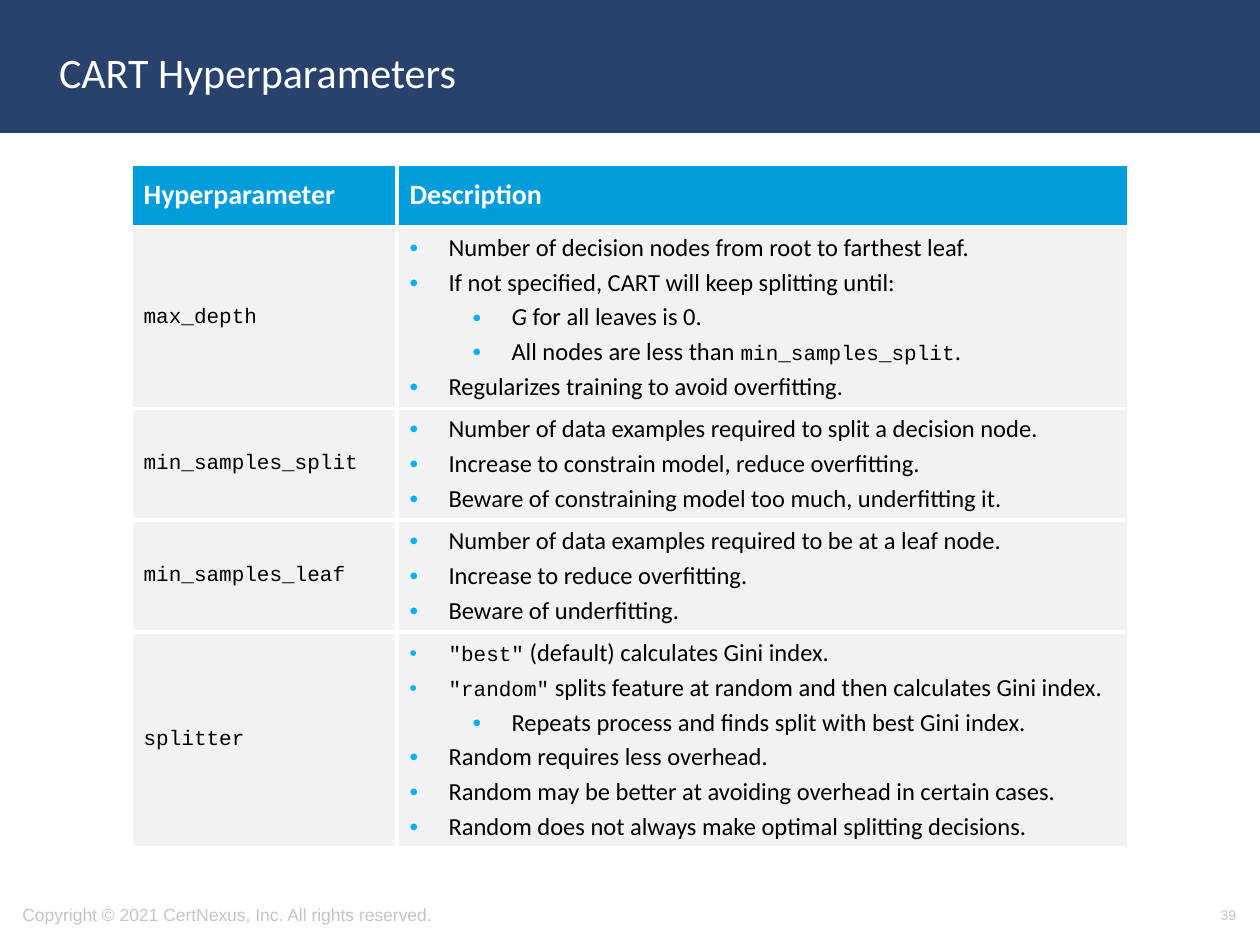
from dataclasses import dataclass

from lxml import etree
from pptx import Presentation
from pptx.dml import color
from pptx.enum import shapes, text
from pptx.oxml import ns
from pptx.util import Inches, Pt

NAVY, BLUE, CYAN = "28426C", "009DDC", "00B0F0"
WHITE, BLACK, PALE, GREY = "FFFFFF", "000000", "F2F2F2", "C4C4C4"
LINE_PITCH, ROW_PADDING = 0.276, 0.06


@dataclass(frozen=True)
class Span:
    text: str
    size: float = 14
    font: str = "Calibri"
    color: str = BLACK
    bold: bool = False
    italic: bool = False


@dataclass(frozen=True)
class Bullet:
    spans: tuple[Span, ...]
    level: int = 0


@dataclass(frozen=True)
class Hyperparameter:
    name: str
    bullets: tuple[Bullet, ...]


def code(words: str) -> Span:
    return Span(words, 12, "Courier New")


def bullet(*parts: str | Span, level: int = 0) -> Bullet:
    spans = tuple(Span(part) if isinstance(part, str) else part for part in parts)
    return Bullet(spans, level)


HYPERPARAMETERS = (
    Hyperparameter("max_depth", (
        bullet("Number of decision nodes from root to farthest leaf."),
        bullet("If not specified, CART will keep splitting until:"),
        bullet(Span("G", italic=True), " for all leaves is 0.", level=1),
        bullet("All nodes are less than ", code("min_samples_split"), ".", level=1),
        bullet("Regularizes training to avoid overfitting."),
    )),
    Hyperparameter("min_samples_split", (
        bullet("Number of data examples required to split a decision node."),
        bullet("Increase to constrain model, reduce overfitting."),
        bullet("Beware of constraining model too much, underfitting it."),
    )),
    Hyperparameter("min_samples_leaf", (
        bullet("Number of data examples required to be at a leaf node."),
        bullet("Increase to reduce overfitting."),
        bullet("Beware of underfitting."),
    )),
    Hyperparameter("splitter", (
        bullet(code('"best"'), " (default) calculates Gini index."),
        bullet(code('"random"'),
               " splits feature at random and then calculates Gini index."),
        bullet("Repeats process and finds split with best Gini index.", level=1),
        bullet("Random requires less overhead."),
        bullet("Random may be better at avoiding overhead in certain cases."),
        bullet("Random does not always make optimal splitting decisions."),
    )),
)


def rgb(value: str) -> color.RGBColor:
    return color.RGBColor.from_string(value)


def add_child(parent, tag: str, **attributes: str):
    return etree.SubElement(parent, ns.qn(tag), attributes)


def add_span(para, span: Span) -> None:
    run = para.add_run()
    run.text = span.text
    run.font.size = Pt(span.size)
    run.font.name = span.font
    run.font.bold = span.bold
    run.font.italic = span.italic
    run.font.color.rgb = rgb(span.color)


def add_label(page, left: float, top: float, width: float, height: float,
              span: Span, align=text.PP_ALIGN.LEFT) -> None:
    box = page.shapes.add_textbox(Inches(left), Inches(top), Inches(width), Inches(height))
    frame = box.text_frame
    frame.word_wrap = True
    frame.vertical_anchor = text.MSO_ANCHOR.MIDDLE
    frame.paragraphs[0].alignment = align
    add_span(frame.paragraphs[0], span)


def style_cell(cell, fill: str) -> None:
    cell.vertical_anchor = text.MSO_ANCHOR.MIDDLE
    properties = cell._tc.get_or_add_tcPr()
    for side in ("a:lnL", "a:lnR", "a:lnT", "a:lnB"):
        line = add_child(properties, side, w=str(Pt(2.25)))
        add_child(add_child(line, "a:solidFill"), "a:srgbClr", val=WHITE)
    cell.fill.solid()
    cell.fill.fore_color.rgb = rgb(fill)


def fill_plain_cell(cell, span: Span, fill: str) -> None:
    style_cell(cell, fill)
    add_span(cell.text_frame.paragraphs[0], span)


def fill_bullet_cell(cell, bullets: tuple[Bullet, ...]) -> None:
    style_cell(cell, PALE)
    frame = cell.text_frame
    for index, item in enumerate(bullets):
        para = frame.add_paragraph() if index else frame.paragraphs[0]
        properties = para._p.get_or_add_pPr()
        properties.set("marL", str(Inches(0.31 + 0.5 * item.level)))
        properties.set("indent", str(Inches(-0.31)))
        add_child(add_child(properties, "a:buClr"), "a:srgbClr", val=CYAN)
        add_child(properties, "a:buFont", typeface="Arial")
        add_child(properties, "a:buChar", char="•")
        para.level = item.level
        if index:
            para.space_before = Pt(2.8)
        for span in item.spans:
            add_span(para, span)


def add_hyperparameter_table(page) -> None:
    heights = [0.5] + [LINE_PITCH * len(row.bullets) + ROW_PADDING
                       for row in HYPERPARAMETERS]
    widths = (2.11, 5.81)
    table = page.shapes.add_table(
        len(heights), len(widths), Inches(1.04), Inches(1.3),
        Inches(sum(widths)), Inches(sum(heights))).table
    table.horz_banding = False
    for column, width in zip(table.columns, widths):
        column.width = Inches(width)
    for row, height in zip(table.rows, heights):
        row.height = Inches(height)

    for index, heading in enumerate(("Hyperparameter", "Description")):
        fill_plain_cell(table.cell(0, index),
                        Span(heading, 16, color=WHITE, bold=True), BLUE)
    for index, entry in enumerate(HYPERPARAMETERS, start=1):
        fill_plain_cell(table.cell(index, 0), code(entry.name), PALE)
        fill_bullet_cell(table.cell(index, 1), entry.bullets)


def main() -> None:
    deck = Presentation()
    deck.slide_width, deck.slide_height = Inches(10), Inches(7.5)
    page = deck.slides.add_slide(deck.slide_layouts[6])

    # Title band
    band = page.shapes.add_shape(
        shapes.MSO_SHAPE.RECTANGLE, 0, 0, Inches(10), Inches(1.04))
    band.shadow.inherit = False
    band.fill.solid()
    band.fill.fore_color.rgb = rgb(NAVY)
    band.line.color.rgb = rgb(NAVY)
    band.line.width = Pt(2)
    add_label(page, 0.37, 0.11, 8.62, 0.92,
              Span("CART Hyperparameters", 24, color=WHITE))

    # Hyperparameters and their descriptions
    add_hyperparameter_table(page)

    # Footer
    add_label(page, 0.08, 7.06, 5.27, 0.4,
              Span("Copyright © 2021 CertNexus, Inc. All rights reserved.",
                   10, "Arial", GREY))
    add_label(page, 7.58, 7.06, 2.33, 0.4, Span("39", 8, "Arial", GREY),
              text.PP_ALIGN.RIGHT)

    deck.save("out.pptx")


if __name__ == "__main__":
    main()
